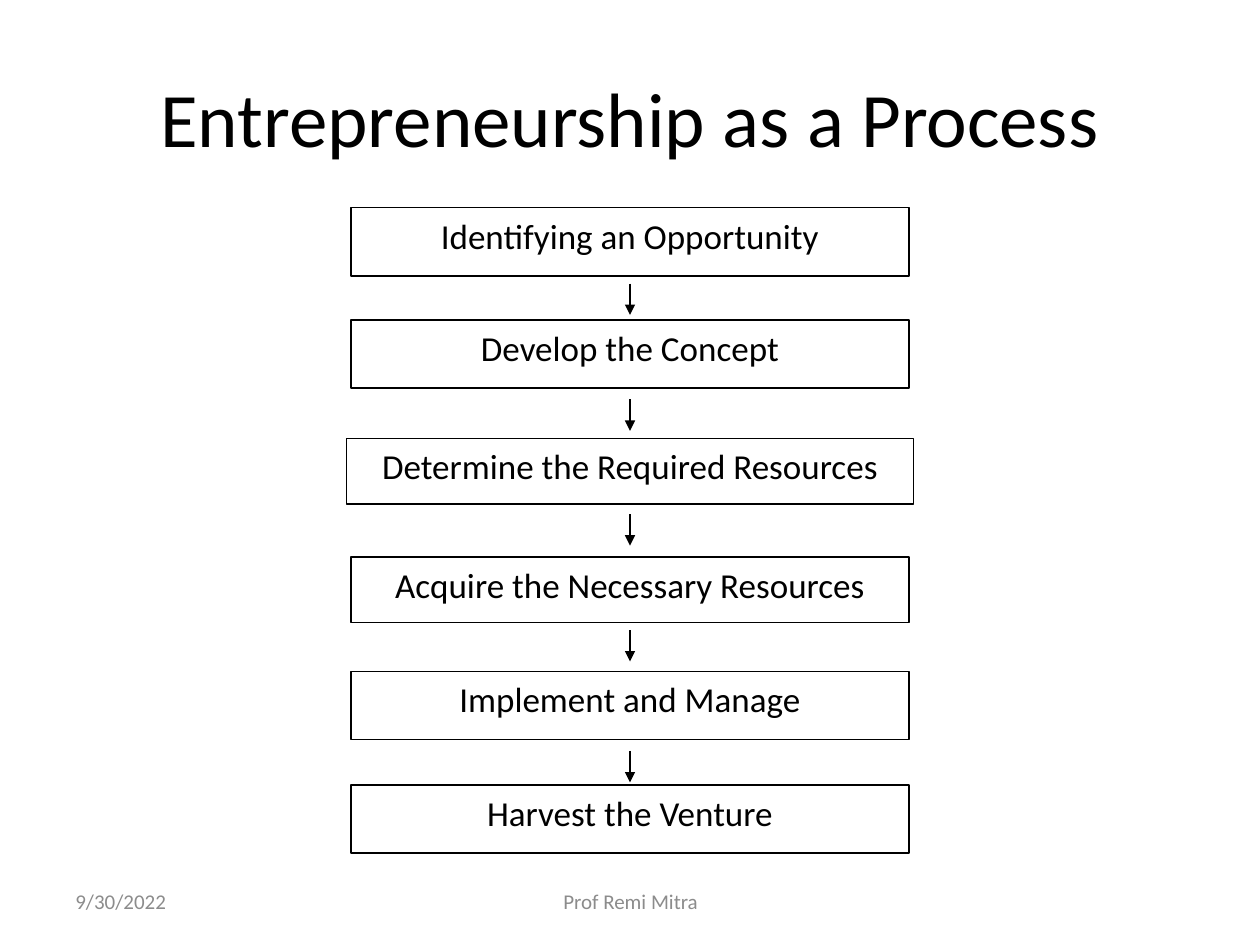
from lxml import etree
from pptx import Presentation
from pptx.dml.color import RGBColor
from pptx.enum.shapes import MSO_CONNECTOR, MSO_SHAPE
from pptx.enum.text import MSO_ANCHOR, PP_ALIGN
from pptx.oxml.ns import qn
from pptx.util import Inches, Pt

RECTANGLE = MSO_SHAPE.RECTANGLE
STRAIGHT = MSO_CONNECTOR.STRAIGHT
TOP, MIDDLE = MSO_ANCHOR.TOP, MSO_ANCHOR.MIDDLE
LEFT, CENTER = PP_ALIGN.LEFT, PP_ALIGN.CENTER

FONT = "Calibri"
BLACK = "000000"
GRAY = "8C8C8C"
SLIDE_WIDTH = 10
AXIS = SLIDE_WIDTH / 2
ARROW_LENGTH = 0.25

STEPS = [
    ("Identifying an Opportunity", 1.65, 4.43, 0.54),
    ("Develop the Concept", 2.54, 4.43, 0.54),
    ("Determine the Required Resources", 3.48, 4.5, 0.52),
    ("Acquire the Necessary Resources", 4.42, 4.43, 0.52),
    ("Implement and Manage", 5.33, 4.43, 0.54),
    ("Harvest the Venture", 6.23, 4.43, 0.54),
]
ARROW_TOPS = [2.25, 3.17, 4.08, 5, 5.96]


def color(hex_value):
    return RGBColor.from_string(hex_value)


def style_line(line):
    line.color.rgb = color(BLACK)
    line.width = Pt(0.75)


def write(frame, text, size, hex_value, align, anchor):
    frame.word_wrap = True
    frame.vertical_anchor = anchor
    paragraph = frame.paragraphs[0]
    paragraph.alignment = align
    run = paragraph.add_run()
    run.text = text
    run.font.name = FONT
    run.font.size = Pt(size)
    run.font.color.rgb = color(hex_value)


def add_label(slide, text, box, size, hex_value, align):
    label = slide.shapes.add_textbox(*map(Inches, box))
    write(label.text_frame, text, size, hex_value, align, MIDDLE)


def add_step(slide, text, top, width, height):
    box = (AXIS - width / 2, top, width, height)
    step = slide.shapes.add_shape(RECTANGLE, *map(Inches, box))
    step.shadow.inherit = False
    step.fill.background()
    style_line(step.line)
    write(step.text_frame, text, 20, BLACK, CENTER, TOP)


def add_down_arrow(slide, top):
    ends = (AXIS, top, AXIS, top + ARROW_LENGTH)
    arrow = slide.shapes.add_connector(STRAIGHT, *map(Inches, ends))
    style_line(arrow.line)
    properties = arrow._element.spPr
    outline = properties.find(qn("a:ln"))
    etree.SubElement(outline, qn("a:tailEnd"), type="triangle")
    etree.SubElement(properties, qn("a:effectLst"))


def main():
    deck = Presentation()
    deck.slide_width = Inches(SLIDE_WIDTH)
    deck.slide_height = Inches(7.5)
    slide = deck.slides.add_slide(deck.slide_layouts[6])

    add_label(slide, "Entrepreneurship as a Process",
              (0.5, 0.3, 9, 1.25), 44, BLACK, CENTER)
    for step in STEPS:
        add_step(slide, *step)
    for top in ARROW_TOPS:
        add_down_arrow(slide, top)
    add_label(slide, "9/30/2022", (0.5, 6.95, 2.33, 0.4), 12, GRAY, LEFT)
    add_label(slide, "Prof Remi Mitra",
              (3.42, 6.95, 3.17, 0.4), 12, GRAY, CENTER)

    deck.save("out.pptx")


main()
